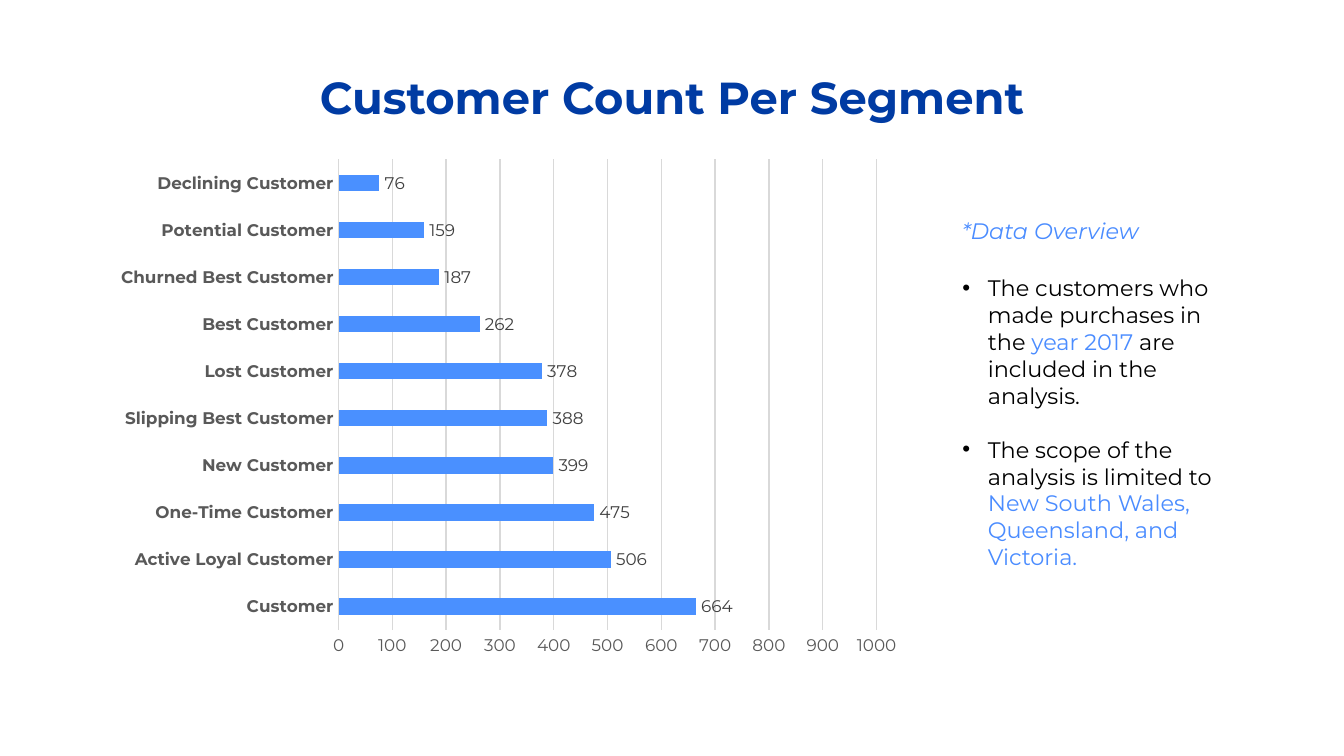
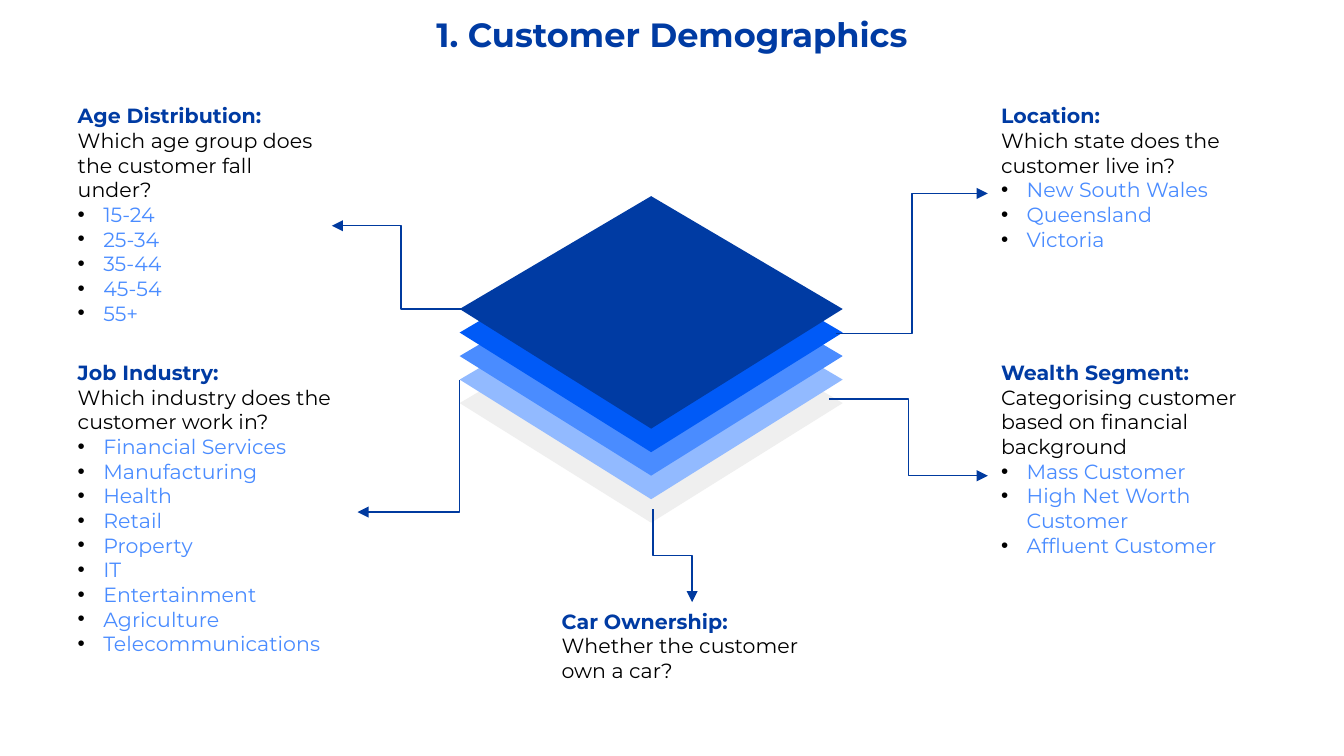
from lxml import etree
from pptx import Presentation
from pptx import util as u
from pptx.chart import data as chart_data
from pptx.dml.color import RGBColor
from pptx.enum import chart as chart_enum
from pptx.enum import shapes, text
from pptx.oxml import ns

WIDTH = 10
HEIGHT = WIDTH * 9 / 16
FONT = "Montserrat"
COLORS = {
    "title": "003BA3", "accent": "4A8CFF", "bar": "4A90FF", "arrow": "003A9F",
    "text": "000000", "axis": "595959", "label": "404040", "grid": "D9D9D9",
}
LAYERS = ["EFEFEF", "92BAFF", "4A8CFF", "005AF7", "003BA3"]
INDENT = 0.19
LEFT, RIGHT, UPPER, LOWER = 0.48, 7.35, 0.72, 2.63

SEGMENTS = [
    ("Customer", 664), ("Active Loyal Customer", 506), ("One-Time Customer", 475),
    ("New Customer", 399), ("Slipping Best Customer", 388), ("Lost Customer", 378),
    ("Best Customer", 262), ("Churned Best Customer", 187),
    ("Potential Customer", 159), ("Declining Customer", 76),
]
OVERVIEW = [
    [("The customers who made purchases in the ", "text"), ("year 2017", "accent"),
     (" are included in the analysis.", "text")],
    [("The scope of the analysis is limited to ", "text"),
     ("New South Wales, Queensland, and Victoria.", "accent")],
]
TOPICS = [
    {"box": (LEFT, UPPER, 1.99, 2), "start": (3.5, 2.3), "end": (2.47, 1.68),
     "heading": "Age Distribution:",
     "question": "Which age group does the customer fall under?",
     "items": ["15-24", "25-34", "35-44", "45-54", "55+"]},
    {"box": (RIGHT, UPPER, 1.99, 1.45), "start": (6.22, 2.48), "end": (RIGHT, 1.44),
     "heading": "Location:",
     "question": "Which state does the customer live in?",
     "items": ["New South Wales", "Queensland", "Victoria"]},
    {"box": (RIGHT, LOWER, 2.17, 1.82), "start": (6.17, 2.97), "end": (RIGHT, 3.54),
     "heading": "Wealth Segment:", "same_paragraph": True,
     "question": "Categorising customer based on financial background",
     "items": ["Mass Customer", "High Net Worth Customer", "Affluent Customer"]},
    {"box": (LEFT, LOWER, 2.18, 2.34), "start": (3.42, 2.83), "end": (2.66, 3.81),
     "down_first": True, "preset": "bentConnector2",
     "heading": "Job Industry:",
     "question": "Which industry does the customer work in?",
     "items": ["Financial Services", "Manufacturing", "Health", "Retail", "Property",
               "IT", "Entertainment", "Agriculture", "Telecommunications"]},
    {"box": (4.08, 4.48, 2.15, 0.84), "start": (4.86, 3.79), "end": (5.15, 4.48),
     "down_first": True,
     "heading": "Car Ownership:", "same_paragraph": True,
     "question": "Whether the customer own a car?",
     "items": []},
]


def rgb(name):
    return RGBColor.from_string(COLORS.get(name, name))


def place(shape, left, top, width, height):
    shape.left, shape.top = u.Inches(left), u.Inches(top)
    shape.width, shape.height = u.Inches(width), u.Inches(height)


def style(font, size, color=None, bold=False, italic=False):
    font.name, font.size, font.bold, font.italic = FONT, u.Pt(size), bold, italic
    if color:
        font.color.rgb = rgb(color)


def add_element(parent, tag, **attributes):
    element = etree.SubElement(parent, ns.qn(tag))
    for key, value in attributes.items():
        element.set(key, value)
    return element


def add_bullet(paragraph):
    properties = paragraph._p.get_or_add_pPr()
    properties.set("marL", str(u.Inches(INDENT)))
    properties.set("indent", str(-u.Inches(INDENT)))
    add_element(add_element(properties, "a:buClr"), "a:srgbClr", val=COLORS["text"])
    add_element(properties, "a:buFont", typeface="Arial")
    add_element(properties, "a:buChar", char="•")


def prepare_frame(shape):
    frame = shape.text_frame
    frame.word_wrap = True
    frame.auto_size = text.MSO_AUTO_SIZE.NONE
    frame.vertical_anchor = text.MSO_ANCHOR.TOP
    return frame


def next_paragraph(frame, index):
    return frame.add_paragraph() if index else frame.paragraphs[0]


def add_text_box(slide, box):
    return prepare_frame(slide.shapes.add_textbox(*map(u.Inches, box)))


def set_title(slide, words, size, top, height):
    title = slide.shapes.title
    place(title, (WIDTH - 8.43) / 2, top, 8.43, height)
    frame = prepare_frame(title)
    frame.margin_left = frame.margin_right = u.Inches(0.1)
    frame.margin_top = frame.margin_bottom = u.Inches(0.1)
    paragraph = frame.paragraphs[0]
    paragraph.text = words
    paragraph.alignment = text.PP_ALIGN.CENTER
    style(paragraph.font, size, "title", bold=True)


def add_segment_chart(slide):
    data = chart_data.CategoryChartData()
    data.categories = [name for name, count in SEGMENTS]
    data.add_series("Series 1", [count for name, count in SEGMENTS])
    box = map(u.Inches, (0.78, 1.11, 6.01, 3.85))
    chart = slide.shapes.add_chart(
        chart_enum.XL_CHART_TYPE.BAR_CLUSTERED, *box, data).chart
    chart.has_legend = chart.has_title = False
    style(chart.font, 10, "text")

    plot = chart.plots[0]
    plot.gap_width, plot.vary_by_categories = 182, False
    bars = plot.series[0].format.fill
    bars.solid()
    bars.fore_color.rgb = rgb("bar")
    plot.has_data_labels = True
    labels = plot.data_labels
    labels.show_value = True
    labels.position = chart_enum.XL_LABEL_POSITION.OUTSIDE_END
    style(labels.font, 9, "label")

    for axis, bold in ((chart.category_axis, True), (chart.value_axis, False)):
        axis.major_tick_mark = axis.minor_tick_mark = chart_enum.XL_TICK_MARK.NONE
        style(axis.tick_labels.font, 9, "axis", bold=bold)
    values = chart.value_axis
    values.minimum_scale, values.maximum_scale, values.major_unit = 0, 1000, 100
    values.format.line.fill.background()
    for line in (chart.category_axis.format.line, values.major_gridlines.format.line):
        line.color.rgb = rgb("grid")
        line.width = u.Pt(0.75)


def add_overview(slide):
    heading = add_text_box(slide, (7.06, 1.57, 2.15, 0.3)).paragraphs[0]
    heading.text = "*Data Overview"
    style(heading.font, 12, "accent", italic=True)
    body = slide.placeholders[1]
    place(body, 7.06, 1.99, 2.15, 2.32)
    frame = prepare_frame(body)
    for index, parts in enumerate(OVERVIEW):
        paragraph = next_paragraph(frame, index)
        add_bullet(paragraph)
        paragraph.space_before = u.Pt(14.6 * index)
        style(paragraph.font, 12)
        for words, color in parts:
            run = paragraph.add_run()
            run.text = words
            run.font.color.rgb = rgb(color)


def add_layers(slide):
    left, top, width, height, step = 3.42, 1.46, 2.85, 1.73, 0.175
    for index, color in enumerate(LAYERS):
        layer_top = top + step * (len(LAYERS) - 1 - index)
        middle, waist = left + width / 2, layer_top + 0.84
        corners = [(middle, layer_top), (left, waist),
                   (middle, layer_top + height), (left + width, waist)]
        points = [(u.Inches(x), u.Inches(y)) for x, y in corners]
        builder = slide.shapes.build_freeform(*points[0])
        builder.add_line_segments(points[1:], close=True)
        layer = builder.convert_to_shape()
        layer.shadow.inherit = False
        layer.fill.solid()
        layer.fill.fore_color.rgb = rgb(color)
        layer.line.fill.background()


def add_arrow(slide, start, end, down_first=False, preset="bentConnector3"):
    begin, finish = start, end
    if down_first:
        center_x, center_y = (start[0] + end[0]) / 2, (start[1] + end[1]) / 2
        half_x, half_y = (end[1] - start[1]) / 2, (start[0] - end[0]) / 2
        begin = (center_x - half_x, center_y - half_y)
        finish = (center_x + half_x, center_y + half_y)
    arrow = slide.shapes.add_connector(
        shapes.MSO_CONNECTOR.ELBOW, *map(u.Inches, begin + finish))
    arrow.line.color.rgb = rgb("arrow")
    arrow.line.width = u.Pt(0.75)
    properties = arrow._element.spPr
    properties.find(ns.qn("a:prstGeom")).set("prst", preset)
    if down_first:
        properties.find(ns.qn("a:xfrm")).set("rot", str(90 * 60000))
    add_element(properties.find(ns.qn("a:ln")), "a:tailEnd", type="triangle")
    add_element(properties, "a:effectLst")


def add_topic_text(slide, topic):
    frame = add_text_box(slide, topic["box"])
    paragraph = frame.paragraphs[0]
    heading = paragraph.add_run()
    heading.text = topic["heading"]
    style(heading.font, 11, "title", bold=True)
    if topic.get("same_paragraph"):
        paragraph.add_line_break()
    else:
        paragraph = frame.add_paragraph()
    style(paragraph.font, 11, "text")
    question = paragraph.add_run()
    question.text = topic["question"]
    for item in topic["items"]:
        paragraph = frame.add_paragraph()
        paragraph.text = item
        paragraph.level = 1
        add_bullet(paragraph)
        style(paragraph.font, 11, "accent")


def main():
    presentation = Presentation()
    presentation.slide_width = u.Inches(WIDTH)
    presentation.slide_height = u.Inches(HEIGHT)

    counts = presentation.slides.add_slide(presentation.slide_layouts[1])
    set_title(counts, "Customer Count Per Segment", 24, 0.42, 1.02)
    add_segment_chart(counts)
    add_overview(counts)

    demographics = presentation.slides.add_slide(presentation.slide_layouts[5])
    set_title(demographics, "1. Customer Demographics", 18, 0, 0.57)
    add_layers(demographics)
    for topic in TOPICS:
        add_arrow(demographics, topic["start"], topic["end"],
                  topic.get("down_first", False), topic.get("preset", "bentConnector3"))
        add_topic_text(demographics, topic)

    presentation.save("out.pptx")


if __name__ == "__main__":
    main()
